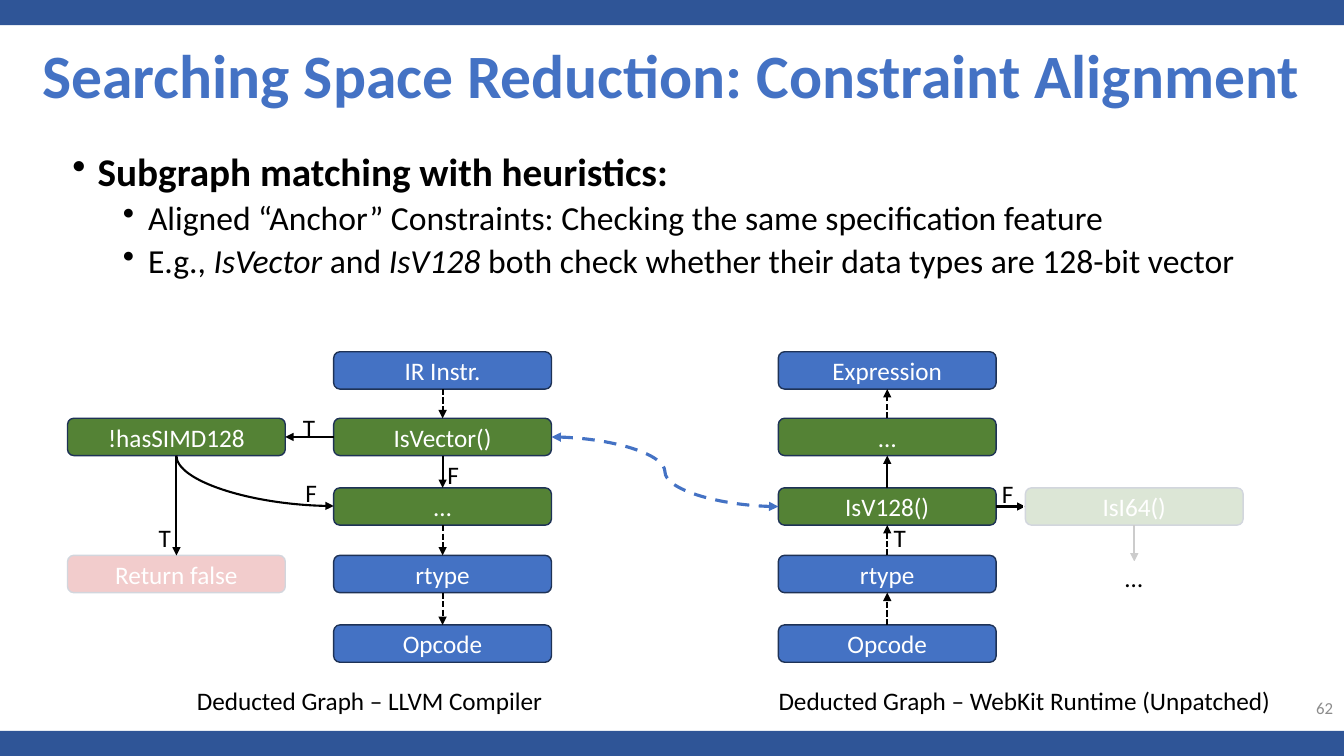
from dataclasses import dataclass

from pptx import Presentation
from pptx.dml.color import RGBColor
from pptx.enum.dml import MSO_LINE as Dash
from pptx.enum.shapes import MSO_CONNECTOR as Link, MSO_SHAPE as Shape
from pptx.enum.text import MSO_ANCHOR as Anchor, PP_ALIGN as Align
from pptx.oxml.ns import qn
from pptx.oxml.xmlchemy import OxmlElement as Element
from pptx.util import Inches, Pt

TOP, LEFT, BOTTOM, RIGHT = range(4)


@dataclass(frozen=True)
class Theme:
    font: str = "Calibri"
    bar: str = "2F5597"
    blue: str = "4472C4"
    green: str = "548235"
    red: str = "C00000"
    outline: str = "1E3256"
    black: str = "000000"
    white: str = "FFFFFF"
    gray: str = "8C8C8C"
    title_size: int = 44
    point_size: int = 28
    detail_size: int = 24
    label_size: int = 18
    number_size: int = 12


class SlideBuilder:
    def __init__(self, slide, theme):
        self.shapes = slide.shapes
        self.theme = theme

    def style_run(self, span, size, color, bold=False, italic=False):
        span.font.name = self.theme.font
        span.font.size = Pt(size)
        span.font.bold = bold
        span.font.italic = italic
        span.font.color.rgb = RGBColor.from_string(color)

    def shape(self, kind, area, fill, line=None, opacity=None):
        box = self.shapes.add_shape(kind, *map(Inches, area))
        box.shadow.inherit = False
        box.fill.solid()
        box.fill.fore_color.rgb = RGBColor.from_string(fill)
        if opacity is not None:
            alpha = Element("a:alpha")
            alpha.set("val", str(opacity * 1000))
            box.element.spPr.find(qn("a:solidFill"))[0].append(alpha)
        if line:
            box.line.color.rgb = RGBColor.from_string(line)
            box.line.width = Pt(1)
        else:
            box.line.fill.background()
        return box

    def bar(self, top):
        self.shape(Shape.RECTANGLE, (0, top, 13.33, 0.25), self.theme.bar)

    def veil(self, *area):
        white = self.theme.white
        self.shape(Shape.RECTANGLE, area, white, white, opacity=80)

    def node(self, left, top, text, fill):
        box = self.shape(Shape.FLOWCHART_ALTERNATE_PROCESS,
                         (left, top, 2.16, 0.37), fill, self.theme.outline)
        frame = box.text_frame
        frame.text = text
        frame.vertical_anchor = Anchor.MIDDLE
        para = frame.paragraphs[0]
        para.alignment = Align.CENTER
        self.style_run(para.runs[0], self.theme.label_size, self.theme.white)
        return box

    def text(self, area, text, size=None, color=None, bold=False,
             align=Align.CENTER, anchor=Anchor.TOP):
        frame = self.shapes.add_textbox(*map(Inches, area)).text_frame
        frame.word_wrap = True
        frame.text = text
        frame.vertical_anchor = anchor
        para = frame.paragraphs[0]
        para.alignment = align
        self.style_run(para.runs[0], size or self.theme.label_size,
                       color or self.theme.black, bold)

    def branch(self, left, top, text):
        self.text((left, top, 0.55, 0.4), text)

    def bullets(self, area, points):
        """Each point is a level and its spans; odd spans are italic."""
        frame = self.shapes.add_textbox(*map(Inches, area)).text_frame
        frame.word_wrap = True
        for index, (level, spans) in enumerate(points):
            para = frame.add_paragraph() if index else frame.paragraphs[0]
            para.level = level
            para.line_spacing = 0.9
            para.space_before = Pt(5 if index else 0)
            props = para._p.get_or_add_pPr()
            props.set("marL", str(Inches(0.25 + 0.5 * level)))
            props.set("indent", str(Inches(-0.25)))
            bullet = Element("a:buChar")
            bullet.set("char", "•")
            props.append(bullet)
            size = self.theme.detail_size if level else self.theme.point_size
            for order, words in enumerate(spans):
                span = para.add_run()
                span.text = words
                self.style_run(span, size, self.theme.black,
                               bold=level == 0, italic=order % 2 == 1)

    def style_line(self, line, dash=None, color=None, width=1.5, ends=("tailEnd",)):
        line.line.color.rgb = RGBColor.from_string(color or self.theme.black)
        line.line.width = Pt(width)
        if dash:
            line.line.dash_style = dash
        props = line.element.spPr
        for end in ends:
            head = Element(f"a:{end}")
            head.set("type", "triangle")
            props.find(qn("a:ln")).append(head)
        props.append(Element("a:effectLst"))

    def arrow(self, start, start_side, end, end_side, kind=Link.STRAIGHT, **style):
        line = self.shapes.add_connector(kind, 0, 0, 0, 0)
        line.begin_connect(start, start_side)
        line.end_connect(end, end_side)
        self.style_line(line, **style)

    def bend(self, x1, y1, x2, y2):
        """Quarter curve that leaves downwards and arrives rightwards."""
        mid_x, mid_y = (x1 + x2) / 2, (y1 + y2) / 2
        half_w, half_h = (y2 - y1) / 2, (x2 - x1) / 2
        line = self.shapes.add_connector(
            Link.CURVE, Inches(mid_x + half_w), Inches(mid_y - half_h),
            Inches(mid_x - half_w), Inches(mid_y + half_h))
        props = line.element.spPr
        props.find(qn("a:xfrm")).set("rot", "16200000")
        props.find(qn("a:prstGeom")).set("prst", "curvedConnector2")
        self.style_line(line)


def main():
    deck = Presentation()
    deck.slide_width, deck.slide_height = Inches(13.33), Inches(7.5)
    theme = Theme()
    page = SlideBuilder(deck.slides.add_slide(deck.slide_layouts[6]), theme)

    # Frame, title and bullets
    for top in (7.25, 0):
        page.bar(top)
    page.bullets((0.62, 1.46, 11.91, 5.22), [
        (0, ["Subgraph matching with heuristics:"]),
        (1, ["Aligned “Anchor” Constraints: Checking the same specification feature"]),
        (1, ["E.g., ", "IsVector", " and ", "IsV128",
             " both check whether their data types are 128-bit vector"]),
    ])
    page.text((0, 0, 13.33, 1.46), "Searching Space Reduction: Constraint Alignment",
              theme.title_size, theme.blue, bold=True, anchor=Anchor.MIDDLE)

    # Two main columns of nodes
    rows = (3.49, 4.15, 4.84, 5.51, 6.2)
    fills = (theme.blue, theme.green, theme.green, theme.blue, theme.blue)
    compiler, runtime = (
        [page.node(left, *cell) for cell in zip(rows, names, fills)]
        for left, names in (
            (3.31, ("IR Instr.", "IsVector()", "…", "rtype", "Opcode")),
            (7.72, ("Expression", "…", "IsV128()", "rtype", "Opcode"))))

    # Side nodes, with the pruned ones faded
    simd = page.node(0.67, rows[1], "!hasSIMD128", theme.green)
    rejected = page.node(0.67, rows[3], "Return false", theme.red)
    page.veil(0.65, 5.47, 2.3, 0.57)
    int64 = page.node(10.17, rows[2], "IsI64()", theme.green)
    page.arrow(runtime[2], RIGHT, int64, LEFT)
    below = page.shapes.add_connector(Link.STRAIGHT, Inches(11.25), Inches(5.21),
                                      Inches(11.25), Inches(5.57))
    below.begin_connect(int64, BOTTOM)
    page.style_line(below)
    page.branch(10.97, 5.53, "…")
    page.veil(10.15, 4.64, 2.47, 0.93)

    # Column arrows: the compiler runs down, the runtime runs up
    for gap in range(len(rows) - 1):
        dash = None if gap == 1 else Dash.SQUARE_DOT
        page.arrow(compiler[gap], BOTTOM, compiler[gap + 1], TOP, dash=dash)
        page.arrow(runtime[gap + 1], TOP, runtime[gap], BOTTOM, dash=dash)

    # Side branches and the aligned anchor pair
    page.arrow(compiler[1], LEFT, simd, RIGHT)
    page.arrow(simd, BOTTOM, rejected, TOP)
    page.bend(1.75, 4.52, 3.31, 5.02)
    page.arrow(compiler[1], RIGHT, runtime[2], LEFT, Link.CURVE, dash=Dash.DASH,
               color=theme.blue, width=2.25, ends=("headEnd", "tailEnd"))

    # Branch labels, captions and page number
    for left, top, text in ((2.81, 4.69, "F"), (4.22, 4.51, "F"), (9.72, 4.7, "F"),
                            (8.65, 5.13, "T"), (1.36, 5.13, "T"), (2.79, 4.04, "T")):
        page.branch(left, top, text)
    page.text((1.79, 6.75, 3.75, 0.4), "Deducted Graph – LLVM Compiler")
    page.text((7.5, 6.75, 5.32, 0.4), "Deducted Graph – WebKit Runtime (Unpatched)")
    page.text((10.32, 6.82, 3, 0.4), "62", theme.number_size, theme.gray,
              align=Align.RIGHT, anchor=Anchor.MIDDLE)

    deck.save("out.pptx")


if __name__ == "__main__":
    main()
